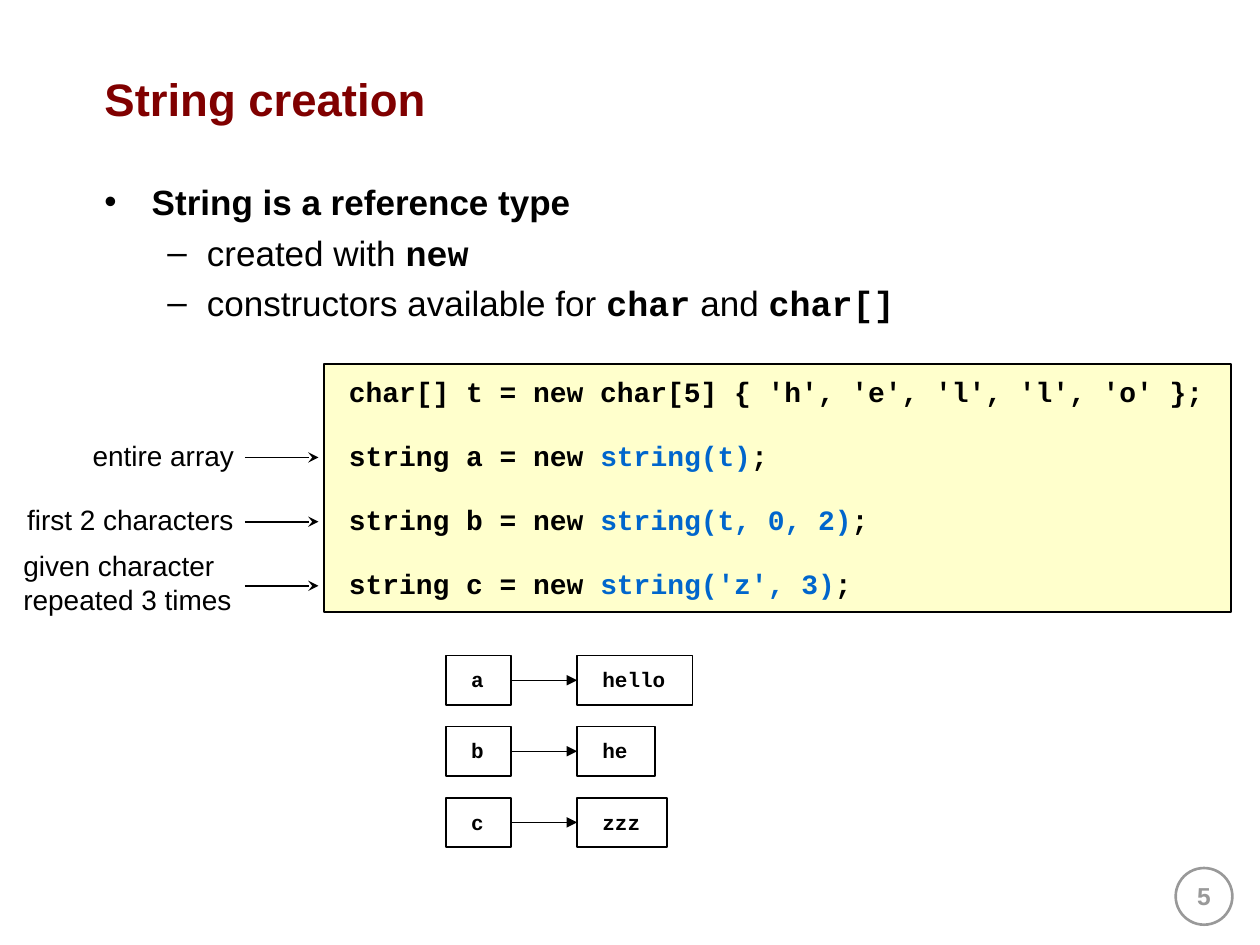
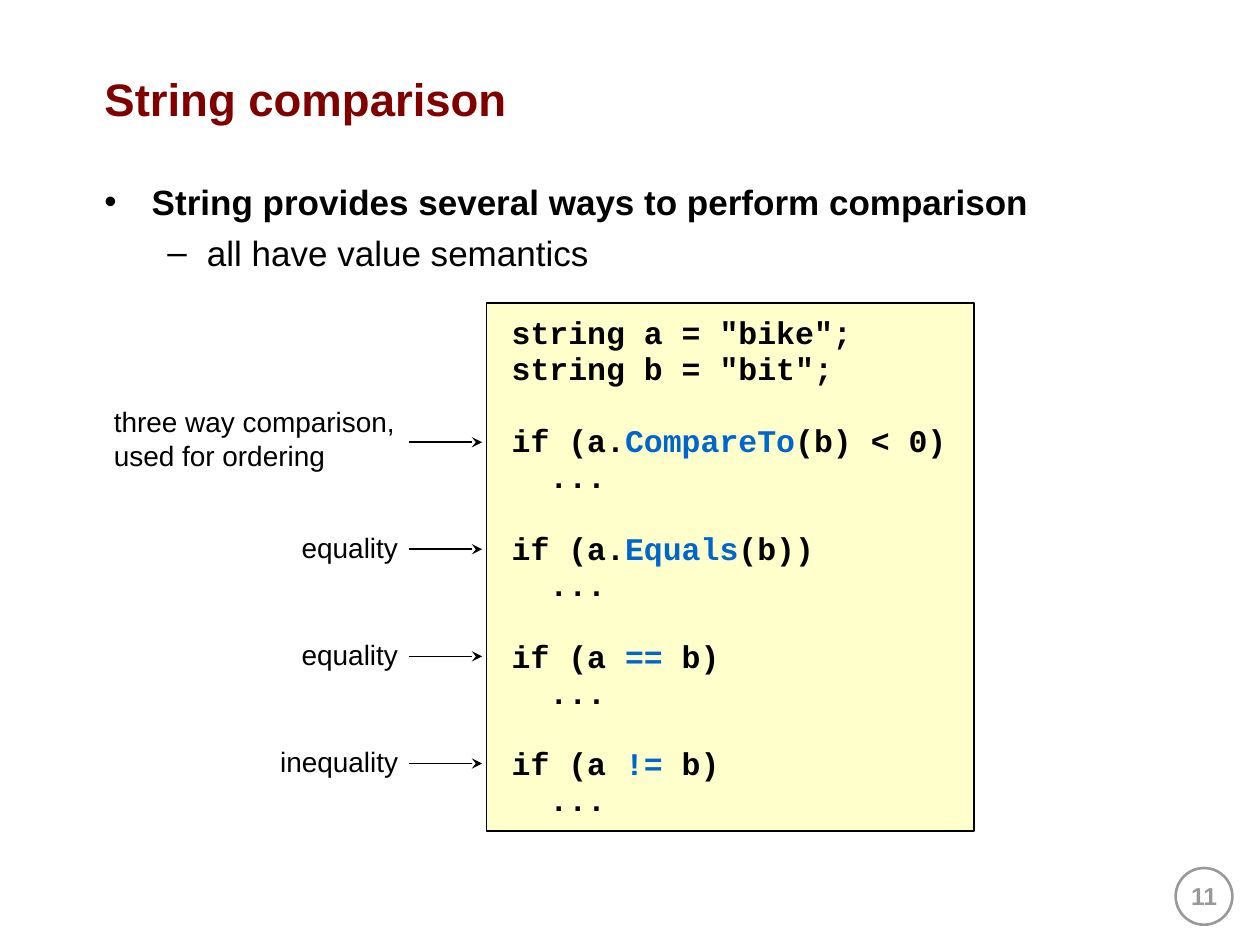
from lxml import etree
from pptx import Presentation
from pptx import util as u
from pptx.dml.color import RGBColor
from pptx.enum import shapes, text
from pptx.oxml import ns

COLORS = {
    "title": "800000",
    "ink": "000000",
    "accent": "0066CC",
    "code": "FFFFCC",
    "paper": "FFFFFF",
    "badge": "999999",
}
SANS, MONO = "Arial", "Courier New"
CODE_LEADING = 1.14
CODE_INSETS = (14.4, 7.2)
LABEL_INSETS = (7.2, 3.6)
LIST_INDENTS = [(27, -27), (58.5, -22.5)]


def color(name):
    return RGBColor.from_string(COLORS[name])


def add_span(para, words, size, ink="ink", font=SANS, bold=False):
    span = para.add_run()
    span.text = words
    span.font.size = u.Pt(size)
    span.font.name = font
    span.font.bold = bold
    span.font.color.rgb = color(ink)


def next_para(frame, index):
    return frame.paragraphs[0] if index == 0 else frame.add_paragraph()


def set_indent(para, margin, first_line=0):
    properties = para._p.get_or_add_pPr()
    properties.set("marL", str(u.Pt(margin)))
    properties.set("indent", str(u.Pt(first_line)))


def prepare_frame(shape, insets, wrap=False):
    frame = shape.text_frame
    frame.word_wrap = wrap
    frame.auto_size = text.MSO_AUTO_SIZE.NONE
    frame.vertical_anchor = text.MSO_ANCHOR.TOP
    frame.margin_left = frame.margin_right = u.Pt(insets[0])
    frame.margin_top = frame.margin_bottom = u.Pt(insets[1])
    return frame


def place(shape, left, top, width, height):
    shape.left, shape.top = u.Pt(left), u.Pt(top)
    shape.width, shape.height = u.Pt(width), u.Pt(height)


def add_outlined(page, kind, bounds, line, weight, fill=None):
    shape = page.shapes.add_shape(kind, *map(u.Pt, bounds))
    shape.shadow.inherit = False
    shape.line.color.rgb = color(line)
    shape.line.width = u.Pt(weight)
    if fill:
        shape.fill.solid()
        shape.fill.fore_color.rgb = color(fill)
    else:
        shape.fill.background()
    return shape


def add_arrow(page, start, end, weight, head):
    arrow = page.shapes.add_connector(
        shapes.MSO_CONNECTOR.STRAIGHT, *map(u.Pt, start + end))
    arrow.line.color.rgb = color("ink")
    arrow.line.width = u.Pt(weight)
    outline = arrow.line._get_or_add_ln()
    etree.SubElement(outline, ns.qn("a:tailEnd"), type=head)
    etree.SubElement(arrow._element.spPr, ns.qn("a:effectLst"))
    return arrow


def add_badge(page, number):
    add_outlined(page, shapes.MSO_SHAPE.OVAL, (671.8, 496, 32.4, 32.4),
                 "badge", 1.5, "paper")
    box = page.shapes.add_textbox(*map(u.Pt, (661, 499.7, 54, 36)))
    para = prepare_frame(box, LABEL_INSETS, wrap=True).paragraphs[0]
    para.alignment = text.PP_ALIGN.CENTER
    add_span(para, str(number), 14, "badge", bold=True)


def add_page(deck, number, title, heading, points):
    page = deck.slides.add_slide(deck.slide_layouts[1])
    add_badge(page, number)
    place(page.shapes.title, 52.5, 14.4, 631.5, 83.5)
    frame = prepare_frame(page.shapes.title, LABEL_INSETS, wrap=True)
    frame.vertical_anchor = text.MSO_ANCHOR.MIDDLE
    frame.paragraphs[0].alignment = text.PP_ALIGN.LEFT
    add_span(frame.paragraphs[0], title, 26, "title", bold=True)

    body = page.placeholders[1]
    place(body, 52.5, 99.4, 631.5, 375.8)
    frame = prepare_frame(body, LABEL_INSETS, wrap=True)
    for index, parts in enumerate([(heading,)] + points):
        para = next_para(frame, index)
        para.level = min(index, 1)
        para.space_before = u.Pt(5)
        set_indent(para, *LIST_INDENTS[para.level])
        for position, words in enumerate(parts):
            is_code = position % 2 == 1
            add_span(para, words, 20, font=MONO if is_code else SANS,
                     bold=is_code or index == 0)
    return page


def add_code(page, bounds, size, groups, fill=None):
    box = add_outlined(page, shapes.MSO_SHAPE.RECTANGLE, bounds, "ink", 1, fill)
    frame = prepare_frame(box, CODE_INSETS)
    leading = u.Pt(size * CODE_LEADING)
    lines = [(row, parts) for group in groups for row, parts in enumerate(group)]
    for index, (row, parts) in enumerate(lines):
        para = next_para(frame, index)
        para.alignment = text.PP_ALIGN.LEFT
        para.line_spacing = leading
        if index and row == 0:
            para.space_before = leading
        if parts[0] == "...":
            set_indent(para, 1.2 * size)
        for position, words in enumerate(parts):
            add_span(para, words, size, "accent" if position % 2 else "ink",
                     MONO, True)
    return box


def add_callouts(page, right, first_middle, pitch, callouts):
    for index, (width, lines) in enumerate(callouts):
        middle = first_middle + index * pitch
        height = 8 + 20.8 * len(lines)
        add_arrow(page, (right - 4.5, middle), (right + 37.5, middle), 1, "stealth")
        box = page.shapes.add_textbox(*map(
            u.Pt, (right - width, middle - height / 2, width, height)))
        frame = prepare_frame(box, LABEL_INSETS)
        for row, words in enumerate(lines):
            add_span(next_para(frame, row), words, 16)


def add_references(page, variables):
    for index, (name, value) in enumerate(variables):
        top = 374.6 + index * 40.6
        cells = [
            add_code(page, (left, top, 30 + 7.2 * len(words), 28.2), 12, [[(words,)]])
            for left, words in ((254.9, name), (329.8, value))
        ]
        arrow = add_arrow(page, (292, top), (329.8, top), 0.75, "triangle")
        arrow.begin_connect(cells[0], 3)
        arrow.end_connect(cells[1], 1)


def add_creation(deck):
    page = add_page(deck, 5, "String creation", "String is a reference type", [
        ("created with ", "new"),
        ("constructors available for ", "char", " and ", "char[]"),
    ])
    add_code(page, (185, 208, 518.4, 141.8), 16, [
        [("char[] t = new char[5] { 'h', 'e', 'l', 'l', 'o' };",)],
        [("string a = new ", "string(t)", ";")],
        [("string b = new ", "string(t, 0, 2)", ";")],
        [("string c = new ", "string('z', 3)", ";")],
    ], "code")
    add_callouts(page, 144.5, 261.4, 36.7, [
        (98.6, ["entire array"]),
        (136, ["first 2 characters"]),
        (138.2, ["given character", "repeated 3 times"]),
    ])
    add_references(page, [("a", "hello"), ("b", "he"), ("c", "zzz")])


def add_comparison(deck):
    page = add_page(deck, 11, "String comparison",
                    "String provides several ways to perform comparison",
                    [("all have value semantics",)])
    conditions = [
        ("if (a.", "CompareTo", "(b) < 0)"),
        ("if (a.", "Equals", "(b))"),
        ("if (a ", "==", " b)"),
        ("if (a ", "!=", " b)"),
    ]
    declarations = [('string a = "bike";',), ('string b = "bit";',)]
    add_code(page, (278, 173, 278.6, 301.7), 18,
             [declarations] + [[condition, ("...",)] for condition in conditions],
             "code")
    add_callouts(page, 238, 252.7, 61.2, [
        (180, ["three way comparison,", "used for ordering"]),
        (72.7, ["equality"]),
        (72.7, ["equality"]),
        (85, ["inequality"]),
    ])


def main():
    deck = Presentation()
    deck.slide_width, deck.slide_height = u.Pt(720), u.Pt(540)
    add_creation(deck)
    add_comparison(deck)
    deck.save("out.pptx")


if __name__ == "__main__":
    main()
